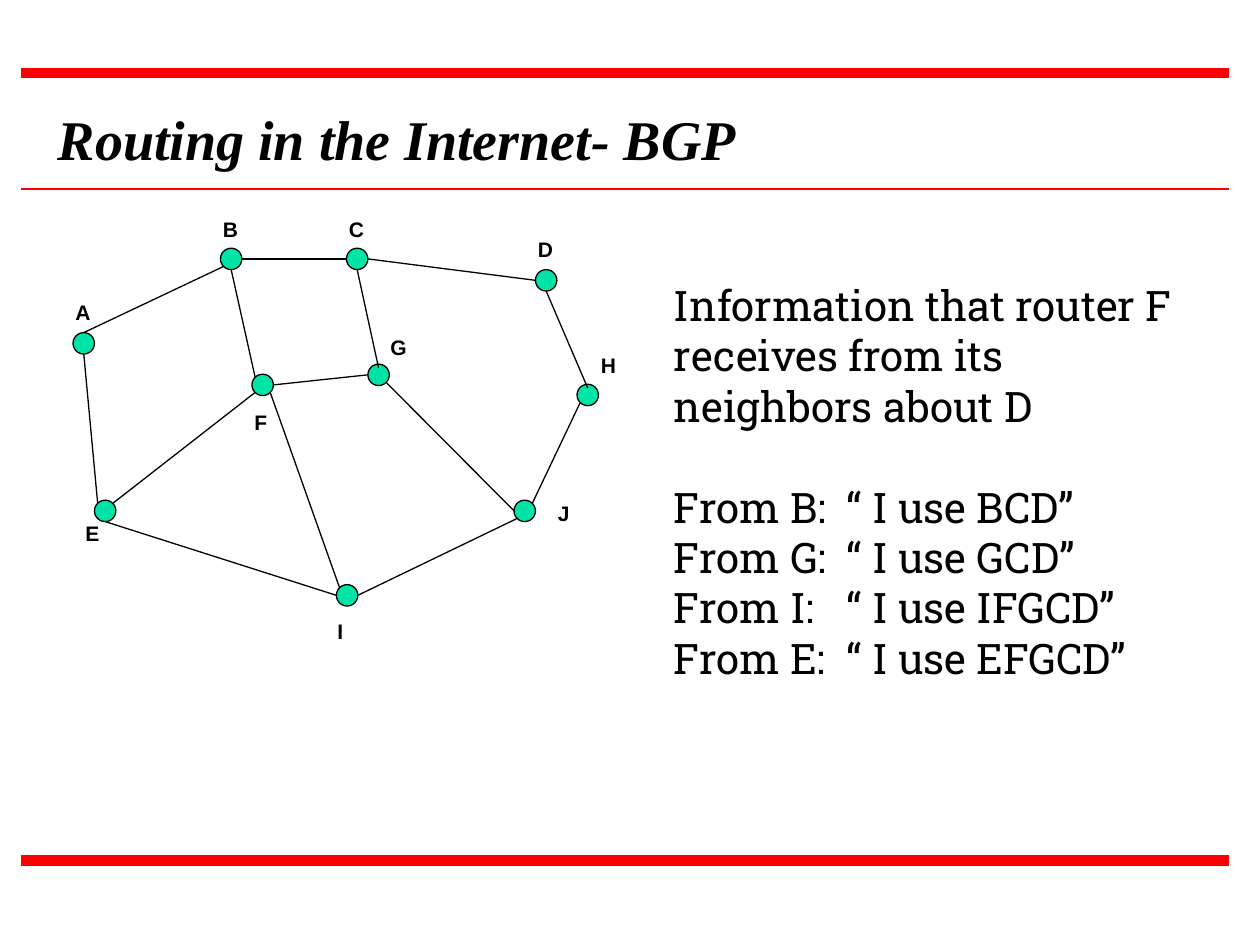
from lxml import etree
from pptx import Presentation
from pptx.dml.color import RGBColor
from pptx.enum.shapes import MSO_CONNECTOR, MSO_SHAPE
from pptx.enum.text import MSO_AUTO_SIZE
from pptx.oxml.ns import qn
from pptx.util import Inches, Pt

STRAIGHT = MSO_CONNECTOR.STRAIGHT
OVAL = MSO_SHAPE.OVAL
GROW = MSO_AUTO_SIZE.SHAPE_TO_FIT_TEXT
RED = RGBColor(0xFF, 0x00, 0x00)
GREEN = RGBColor(0x00, 0xE4, 0xA8)
BLACK = RGBColor(0x00, 0x00, 0x00)

NODE_SIZE = 0.17
RULES = [(0.58, 6), (1.5, 1.5), (6.83, 6)]
ROUTERS = {
    "A": ((0.58, 2.64), (0.5, 2.33)),
    "E": ((0.75, 3.97), (0.58, 4.08)),
    "I": ((2.67, 4.64), (2.58, 4.86)),
    "J": ((4.08, 3.97), (4.33, 3.92)),
    "H": ((4.58, 3.05), (4.67, 2.75)),
    "G": ((2.92, 2.89), (3, 2.61)),
    "F": ((2, 2.97), (1.92, 3.2)),
    "B": ((1.75, 1.97), (1.67, 1.67)),
    "C": ((2.75, 1.97), (2.67, 1.67)),
    "D": ((4.25, 2.14), (4.17, 1.83)),
}
SITES = {
    "top": (0.5, 0), "inner top": (0.5, 0.18), "bottom": (0.5, 1),
    "left": (0, 0.5), "right": (1, 0.5),
    "top left": (0.15, 0.15), "top right": (0.85, 0.15),
    "bottom left": (0.15, 0.85), "bottom right": (0.85, 0.85),
}
LINKS = [
    ("A", "top", "B", "bottom left"),
    ("B", "right", "C", "left"),
    ("C", "right", "D", "left"),
    ("D", "bottom", "H", "inner top"),
    ("H", "bottom left", "J", "top right"),
    ("C", "bottom", "G", "inner top"),
    ("G", "bottom right", "J", "left"),
    ("F", "right", "G", "left"),
    ("B", "bottom", "F", "top left"),
    ("A", "bottom", "E", "top left"),
    ("E", "top right", "F", "bottom left"),
    ("E", "bottom", "I", "left"),
    ("I", "right", "J", "bottom left"),
    ("F", "bottom right", "I", "top left"),
]
ROUTES = [("B", "BCD"), ("G", "GCD"), ("I", "IFGCD"), ("E", "EFGCD")]


class Sketch:
    def __init__(self, slide):
        self.slide = slide
        self.shapes = slide.shapes

    def start_group(self):
        self.shapes = self.slide.shapes.add_group_shape().shapes

    def end_group(self):
        self.shapes = self.slide.shapes

    def line(self, start, end, color=BLACK, width=0.75):
        points = [Inches(value) for value in (*start, *end)]
        connector = self.shapes.add_connector(STRAIGHT, *points)
        connector.line.color.rgb = color
        connector.line.width = Pt(width)
        etree.SubElement(connector._element.spPr, qn("a:effectLst"))

    def node(self, left, top):
        size = Inches(NODE_SIZE)
        oval = self.shapes.add_shape(OVAL, Inches(left), Inches(top), size, size)
        oval.shadow.inherit = False
        oval.fill.solid()
        oval.fill.fore_color.rgb = GREEN
        oval.line.color.rgb = BLACK
        oval.line.width = Pt(0.75)

    def text(self, area, wording, font, size, bold=False, italic=False, wrap=True):
        box = self.shapes.add_textbox(*[Inches(value) for value in area])
        frame = box.text_frame
        frame.word_wrap = wrap
        frame.auto_size = GROW
        frame.text = wording
        for para in frame.paragraphs:
            for span in para.runs:
                span.font.name = font
                span.font.size = Pt(size)
                span.font.bold = bold
                span.font.italic = italic
                span.font.color.rgb = BLACK
        return frame

    def tab_stop(self, para, position):
        tabs = etree.SubElement(para._p.get_or_add_pPr(), qn("a:tabLst"))
        etree.SubElement(tabs, qn("a:tab"), pos=str(Inches(position)), algn="l")


def site_point(router, site):
    corner = ROUTERS[router][0]
    return [start + NODE_SIZE * share for start, share in zip(corner, SITES[site])]


def main():
    deck = Presentation()
    deck.slide_width = Inches(10)
    deck.slide_height = Inches(7.5)
    sketch = Sketch(deck.slides.add_slide(deck.slide_layouts[6]))

    for height, width in RULES:
        sketch.line((0.17, height), (9.75, height), RED, width)
    sketch.text((0.36, 0.78, 5.59, 0.64), "Routing in the Internet- BGP",
                "Times New Roman", 32, bold=True, italic=True, wrap=False)

    sketch.start_group()
    for name, (corner, label) in ROUTERS.items():
        sketch.node(*corner)
        sketch.text((*label, 0.33, 0.3), name, "Arial", 12, bold=True)
    for first, first_site, second, second_site in LINKS:
        sketch.line(site_point(first, first_site), site_point(second, second_site))
    sketch.end_group()

    lines = ["Information that router F receives from its neighbors about D"]
    lines += [f"From {name}:\t“ I use {route}”" for name, route in ROUTES]
    frame = sketch.text((5.25, 2.17, 4.42, 3.3), "\n".join(lines), "Roboto Slab", 24)
    for para in frame.paragraphs[1:]:
        sketch.tab_stop(para, 1.37)
    frame.paragraphs[1].space_before = Pt(28.8)

    deck.save("out.pptx")


if __name__ == "__main__":
    main()
